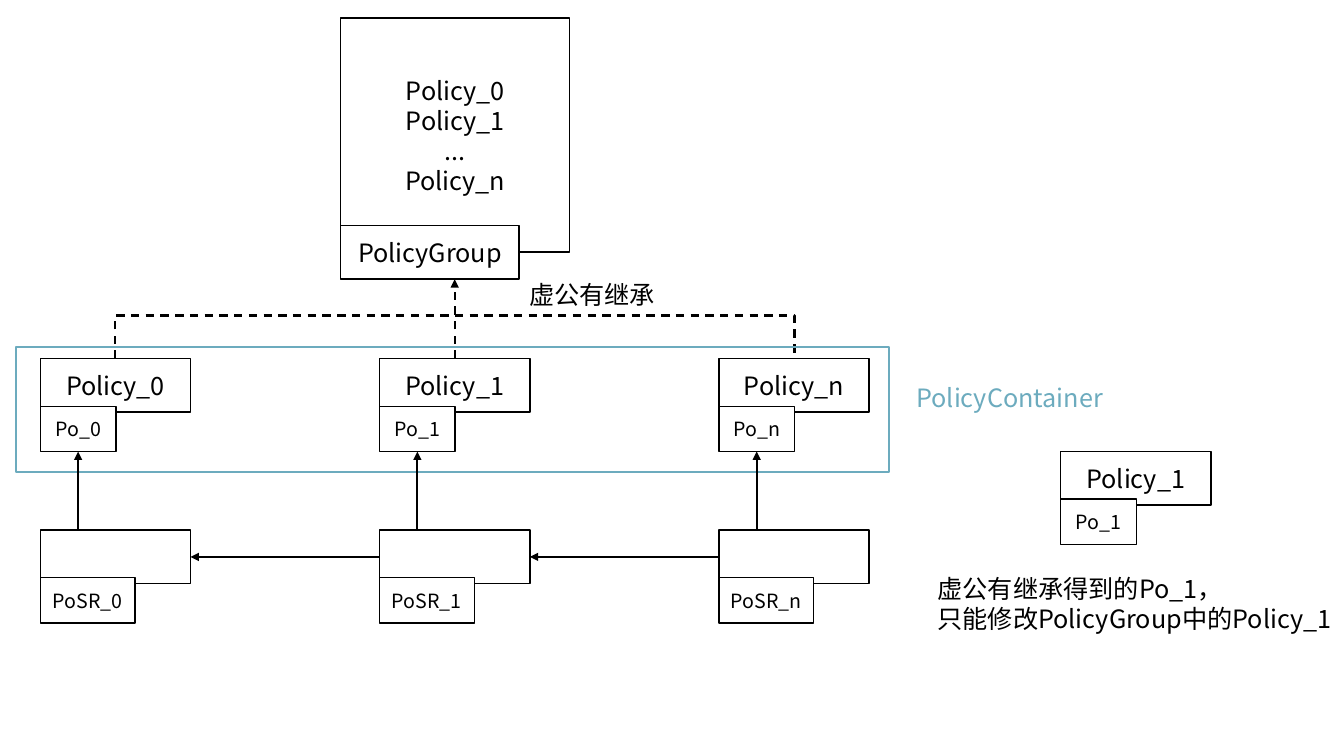
import pptx
import pptx.util
import pptx.dml.color
import pptx.enum.dml
import pptx.enum.shapes
import pptx.enum.text
import pptx.oxml.ns
from lxml import etree
from pptx.util import Inches, Pt

THEME = {
    "font": "Noto Sans CJK SC",
    "black": pptx.dml.color.RGBColor.from_string("000000"),
    "white": pptx.dml.color.RGBColor.from_string("FFFFFF"),
    "teal": pptx.dml.color.RGBColor.from_string("6CABBE"),
    "large": 18,
    "small": 14,
    "leading": 1.19,
    "box_line": 1,
    "frame_line": 1.25,
    "arrow_line": 1.5,
}

GROUP_MEMBERS = ["Policy_0", "Policy_1", "...", "Policy_n"]
SUFFIXES = ["0", "1", "n"]
LABELS = [  # text lines, left, top, width, height, colour, wrap
    (["虚公有继承得到的Po_1，", "只能修改PolicyGroup中的Policy_1"], 9.2, 5.64, 4.13, 0.71, "black", True),
    (["PolicyContainer"], 8.99, 3.75, 2.08, 0.4, "teal", False),
    (["虚公有继承"], 5.15, 2.72, 1.46, 0.4, "black", False),
]

COLUMN_LEFT, COLUMN_STEP = 0.4, 3.365
POLICY_TOP, HOLDER_TOP = 3.56, 5.26
CARD_WIDTH, CARD_HEIGHT = 1.49, 0.53
TAG_DROP, TAG_HEIGHT = 0.47, 0.45
PO_WIDTH, POSR_WIDTH = 0.75, 0.94
GROUP_BOTTOM, BRACKET_TOP = 2.77, 3.13
DASH = pptx.enum.dml.MSO_LINE.DASH
ALIGN = pptx.enum.text.PP_ALIGN


def add_child(parent, tag, **attributes):
    return etree.SubElement(parent, pptx.oxml.ns.qn(tag), attributes)


def apply(target, values):
    for name, value in values.items():
        setattr(target, name, value)


def write(frame, lines, size, colour, align):
    for index, line in enumerate(lines):
        para = frame.paragraphs[0] if index == 0 else frame.add_paragraph()
        apply(para, {"alignment": align, "line_spacing": Pt(size * THEME["leading"])})
        span = para.add_run()
        span.text = line
        apply(span.font, {"name": THEME["font"], "size": Pt(size)})
        span.font.color.rgb = THEME[colour]
        add_child(span.font._element, "a:ea", typeface=THEME["font"])


def add_box(page, lines, left, top, width, height, size=THEME["large"],
            line="black", weight=THEME["box_line"], filled=True):
    box = page.shapes.add_shape(
        pptx.enum.shapes.MSO_SHAPE.RECTANGLE,
        Inches(left), Inches(top), Inches(width), Inches(height))
    box.shadow.inherit = False
    if filled:
        box.fill.solid()
        box.fill.fore_color.rgb = THEME["white"]
    else:
        box.fill.background()
    box.line.color.rgb = THEME[line]
    box.line.width = Pt(weight)
    box.text_frame.vertical_anchor = pptx.enum.text.MSO_ANCHOR.MIDDLE
    write(box.text_frame, lines, size, "black", ALIGN.CENTER)
    return box


def add_card(page, title, tag, left, top, tag_width):
    """Draw a box with a smaller tag over its lower left corner."""
    card = add_box(page, [title] if title else [], left, top, CARD_WIDTH, CARD_HEIGHT)
    label = add_box(page, [tag], left, top + TAG_DROP, tag_width, TAG_HEIGHT, THEME["small"])
    return card, label


def style_stroke(line, dashed):
    line.color.rgb = THEME["black"]
    line.width = Pt(THEME["arrow_line"])
    if dashed:
        line.dash_style = DASH


def add_arrow(page, start, end, dashed=False):
    arrow = page.shapes.add_connector(
        pptx.enum.shapes.MSO_CONNECTOR.STRAIGHT, *[Inches(value) for value in start + end])
    style_stroke(arrow.line, dashed)
    add_child(arrow.line._get_or_add_ln(), "a:tailEnd", type="triangle")
    add_child(arrow._element.spPr, "a:effectLst")
    return arrow


def add_bracket(page, left, right):
    """Draw the dashed line that joins the outer policies."""
    builder = page.shapes.build_freeform(Inches(left), Inches(POLICY_TOP))
    corners = [(left, BRACKET_TOP), (right, BRACKET_TOP), (right, POLICY_TOP)]
    builder.add_line_segments([(Inches(x), Inches(y)) for x, y in corners], close=False)
    bracket = builder.convert_to_shape()
    bracket.shadow.inherit = False
    bracket.fill.background()
    style_stroke(bracket.line, True)


def main():
    deck = pptx.Presentation()
    apply(deck, {"slide_width": Inches(13.33), "slide_height": Inches(7.5)})
    page = deck.slides.add_slide(deck.slide_layouts[6])

    add_box(page, GROUP_MEMBERS, 3.38, 0.18, 2.27, 2.32, filled=False)
    add_box(page, ["PolicyGroup"], 3.38, 2.24, 1.77, 0.53)

    lefts = [COLUMN_LEFT + COLUMN_STEP * index for index in range(len(SUFFIXES))]
    policies = [add_card(page, f"Policy_{suffix}", f"Po_{suffix}", left, POLICY_TOP, PO_WIDTH)
                for suffix, left in zip(SUFFIXES, lefts)]
    holders = [add_card(page, "", f"PoSR_{suffix}", left, HOLDER_TOP, POSR_WIDTH)
               for suffix, left in zip(SUFFIXES, lefts)]
    add_card(page, "Policy_1", "Po_1", 10.52, 4.48, PO_WIDTH)

    middle = lefts[1] + CARD_WIDTH / 2
    inherit = add_arrow(page, (middle, POLICY_TOP), (middle, GROUP_BOTTOM), dashed=True)
    inherit.begin_connect(policies[1][0], 0)
    add_bracket(page, lefts[0] + CARD_WIDTH / 2, lefts[-1] + PO_WIDTH)
    add_box(page, [], 0.16, 3.44, 8.66, 1.24, line="teal",
            weight=THEME["frame_line"], filled=False)

    for lines, left, top, width, height, colour, wrap in LABELS:
        label = page.shapes.add_textbox(Inches(left), Inches(top), Inches(width), Inches(height))
        label.text_frame.word_wrap = wrap
        write(label.text_frame, lines, THEME["large"], colour, ALIGN.LEFT)

    po_bottom = POLICY_TOP + TAG_DROP + TAG_HEIGHT
    for left, (card, tag) in zip(lefts, policies):
        x = left + PO_WIDTH / 2
        add_arrow(page, (x, HOLDER_TOP), (x, po_bottom)).end_connect(tag, 2)

    y = HOLDER_TOP + CARD_HEIGHT / 2
    for index in range(1, len(holders)):
        link = add_arrow(page, (lefts[index], y), (lefts[index - 1] + CARD_WIDTH, y))
        link.begin_connect(holders[index][0], 1)
        link.end_connect(holders[index - 1][0], 3)

    deck.save("out.pptx")


if __name__ == "__main__":
    main()
